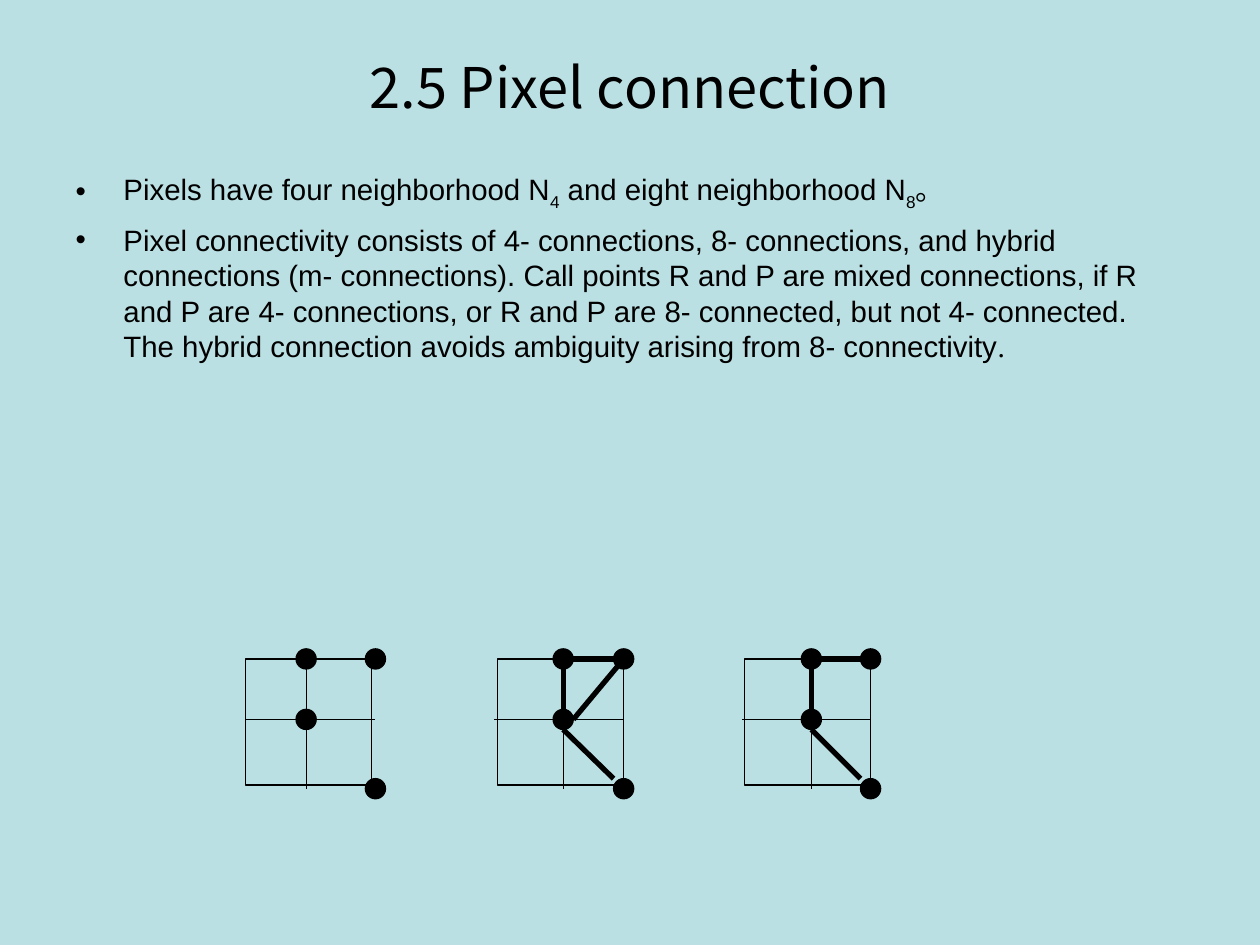
"""Build the slide on pixel connection with three neighbourhood grids."""
from lxml.etree import SubElement
from pptx import Presentation
from pptx.dml.color import RGBColor
from pptx.enum.shapes import MSO_CONNECTOR, MSO_SHAPE
from pptx.enum.text import MSO_ANCHOR, MSO_AUTO_SIZE, PP_ALIGN
from pptx.oxml.ns import qn
from pptx.util import Inches, Pt

COLORS = {"background": "BBE0E3", "ink": "000000"}
TITLE = "2.5 Pixel connection"
CJK = "Noto Sans CJK SC"
BULLETS = [
    [("Pixels have four neighborhood N", {}), ("4", {"subscript": True}),
     (" and eight neighborhood N", {}), ("8", {"subscript": True}), ("。", {"font": CJK})],
    [("Pixel connectivity consists of 4- connections, 8- connections, and hybrid "
      "connections (m- connections). Call points R and P are mixed connections, if R and P "
      "are 4- connections, or R and P are 8- connected, but not 4- connected. The hybrid "
      "connection avoids ambiguity arising from 8- connectivity", {}),
     (".", {"font": "Times New Roman"})],
]
SIDE, DOT = 1, 0.16
TOP, MIDDLE, BOTTOM = 5.23, 5.71, 6.26
RADIUS = DOT / 2
GRIDS = [
    {"left": 1.95, "center": 2.43, "right": 2.98, "row_start": 1.95, "links": ()},
    {"left": 3.95, "center": 4.47, "right": 4.95, "row_start": 3.92,
     "links": ("up", "across", "diagonal", "down")},
    {"left": 5.91, "center": 6.44, "right": 6.91, "row_start": 5.89,
     "links": ("up", "across", "down")},
]


def color(name):
    return RGBColor.from_string(COLORS[name])


def add_text(paragraph, text, size=16.8, font="Arial", subscript=False):
    run = paragraph.add_run()
    run.text = text
    run.font.size, run.font.name = Pt(size), font
    run.font.color.rgb = color("ink")
    properties = run._r.get_or_add_rPr()
    if font == CJK:
        SubElement(properties, qn("a:ea"), typeface=font)
    if subscript:
        properties.set("baseline", "-25000")


def place(placeholder, left, top, width, height, anchor):
    placeholder.left, placeholder.top = Inches(left), Inches(top)
    placeholder.width, placeholder.height = Inches(width), Inches(height)
    frame = placeholder.text_frame
    frame.auto_size, frame.word_wrap = MSO_AUTO_SIZE.NONE, True
    frame.vertical_anchor = anchor
    return frame


def add_bullet(paragraph, parts, space):
    properties = paragraph._p.get_or_add_pPr()
    properties.set("marL", str(Inches(0.38)))
    properties.set("indent", str(-Inches(0.38)))
    bullet_color = SubElement(properties, qn("a:buClr"))
    SubElement(bullet_color, qn("a:srgbClr"), val=COLORS["ink"])
    SubElement(properties, qn("a:buFont"), typeface="Arial")
    SubElement(properties, qn("a:buChar"), char="•")
    paragraph.space_before = Pt(space)
    for text, style in parts:
        add_text(paragraph, text, **style)


def add_outline(slide, preset, left, top, size, fill):
    outline = slide.shapes.add_shape(preset, *map(Inches, (left, top, size, size)))
    outline.shadow.inherit = False
    outline.fill.solid()
    outline.fill.fore_color.rgb = color(fill)
    outline.line.color.rgb = color("ink")
    outline.line.width = Pt(0.75)


def add_line(slide, start, end, width=0.75):
    line = slide.shapes.add_connector(MSO_CONNECTOR.STRAIGHT, *map(Inches, (*start, *end)))
    line.line.color.rgb = color("ink")
    line.line.width = Pt(width)
    SubElement(line._element.spPr, qn("a:effectLst"))


def add_grid(slide, left, center, right, row_start, links):
    add_outline(slide, MSO_SHAPE.RECTANGLE, left, TOP, SIDE, "background")
    add_line(slide, (row_start, MIDDLE), (right, MIDDLE))
    add_line(slide, (center, TOP), (center, BOTTOM))
    for x, y in ((center, MIDDLE), (right, BOTTOM), (center, TOP), (right, TOP)):
        add_outline(slide, MSO_SHAPE.OVAL, x - RADIUS, y - RADIUS, DOT, "ink")
    paths = {
        "up": ((center, TOP + RADIUS), (center, MIDDLE - RADIUS)),
        "across": ((center, TOP), (right, TOP)),
        "diagonal": ((right, TOP), (center + RADIUS, MIDDLE)),
        "down": ((center, MIDDLE + RADIUS), (right - RADIUS, BOTTOM - RADIUS)),
    }
    for link in links:
        add_line(slide, *paths[link], width=3)


def main():
    deck = Presentation()
    deck.slide_width, deck.slide_height = Inches(10), Inches(7.5)
    slide = deck.slides.add_slide(deck.slide_layouts[1])
    slide.background.fill.solid()
    slide.background.fill.fore_color.rgb = color("background")

    title = place(slide.shapes.title, 0.5, 0.3, 9, 0.77, MSO_ANCHOR.MIDDLE).paragraphs[0]
    title.alignment = PP_ALIGN.CENTER
    add_text(title, TITLE, size=32, font=CJK)

    body = place(slide.placeholders[1], 0.5, 1.31, 9, 2.02, MSO_ANCHOR.TOP)
    for index, parts in enumerate(BULLETS):
        paragraph = body.add_paragraph() if index else body.paragraphs[0]
        add_bullet(paragraph, parts, space=6 if index else 0)

    for grid in GRIDS:
        add_grid(slide, **grid)
    deck.save("out.pptx")


if __name__ == "__main__":
    main()
